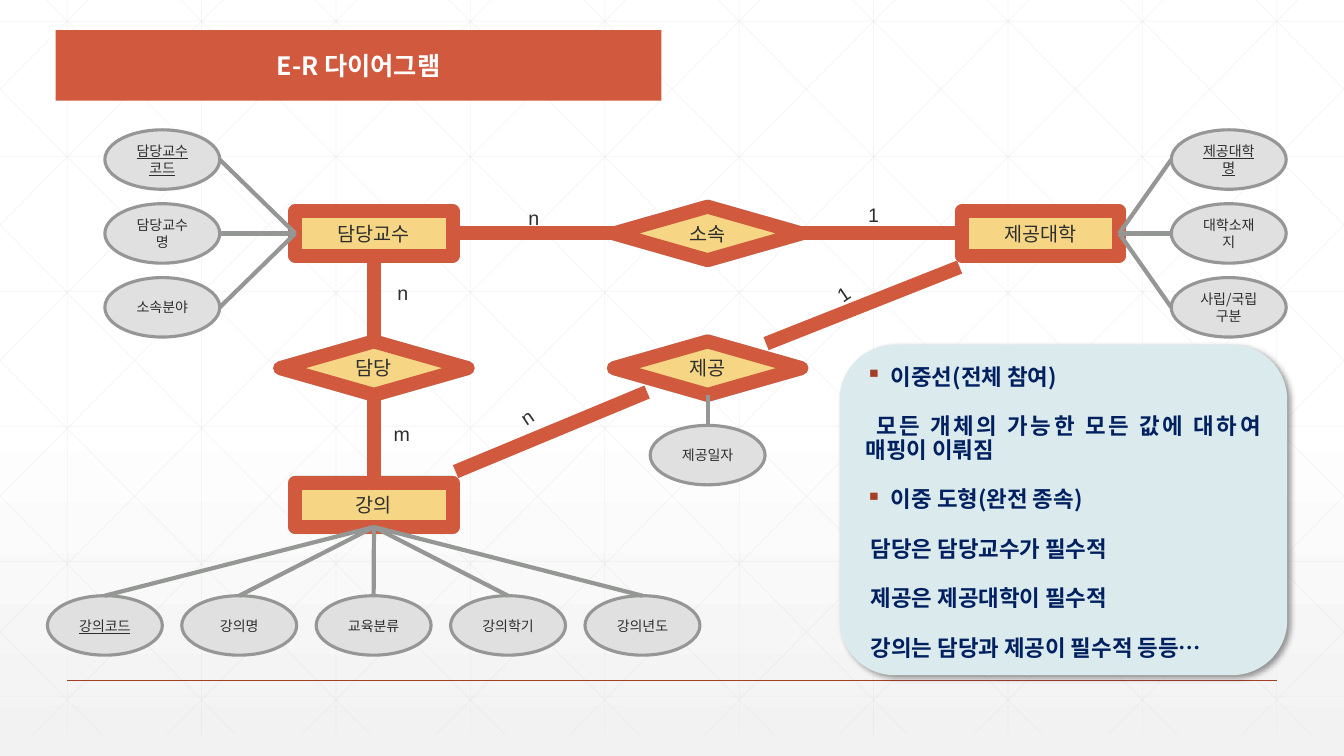
import lxml.etree
import pptx
import pptx.dml.color
import pptx.enum.shapes
import pptx.enum.text
import pptx.oxml.ns
import pptx.util

qn = pptx.oxml.ns.qn
rgb = pptx.dml.color.RGBColor.from_string
Pt = pptx.util.Pt
MSO = pptx.enum.shapes.MSO_SHAPE
ALIGN = pptx.enum.text.PP_ALIGN
ANCHOR = pptx.enum.text.MSO_ANCHOR
sub = lxml.etree.SubElement
TOP, LEFT, BOTTOM, RIGHT = range(4)
RED, GREY, DARK, RUST = "D15A3E", "959795", "2D2E2D", "A43F27"
KOREAN = "Noto Sans CJK KR"

prs = pptx.Presentation()
prs.slide_width = pptx.util.Inches(13.33)
prs.slide_height = pptx.util.Inches(7.5)
s = prs.slides.add_slide(prs.slide_layouts[6])
COLS = 40
U = prs.slide_width / COLS


def line(start, end, color, width, alpha=None):
    c = s.shapes.add_connector(pptx.enum.shapes.MSO_CONNECTOR.STRAIGHT,
                               *[round(v * U) for v in (*start, *end)])
    c.line.color.rgb = rgb(color)
    c.line.width = Pt(width)
    sub(c._element.spPr, qn("a:effectLst"))
    if alpha:
        clr = c._element.spPr.find(".//" + qn("a:srgbClr"))
        sub(clr, qn("a:alpha"), val=str(alpha * 1000))
    return c


def box(kind, center, size, text, pt, color=DARK, font=KOREAN, bold=None, underline=None,
        fill=None, edge=None, width=0, shadow=None):
    (x, y), (w, h) = center, size
    at = [round(v * U) for v in (x - w / 2, y - h / 2, w, h)]
    sp = s.shapes.add_shape(kind, *at) if kind else s.shapes.add_textbox(*at)
    if kind:
        sp.shadow.inherit = False
        sp.fill.solid()
        sp.fill.fore_color.rgb = rgb(fill)
        if edge:
            sp.line.color.rgb = rgb(edge)
            sp.line.width = Pt(width)
        else:
            sp.line.fill.background()
    if shadow:
        tint, alpha, blur, dist, angle = shadow
        outer = sub(sp._element.spPr.find(qn("a:effectLst")), qn("a:outerShdw"),
                    blurRad=str(Pt(blur)), dist=str(Pt(dist)), dir=str(angle * 60000),
                    algn="ctr", rotWithShape="0")
        sub(sub(outer, qn("a:srgbClr"), val=tint), qn("a:alpha"), val=str(alpha * 1000))
    tf = sp.text_frame
    tf.word_wrap = True
    tf.vertical_anchor = ANCHOR.MIDDLE if kind else ANCHOR.TOP
    for i, words in enumerate(text.split("\n")):
        p = tf.add_paragraph() if i else tf.paragraphs[0]
        p.alignment = ALIGN.CENTER
        r = p.add_run()
        r.text = words
        r.font.size = Pt(pt)
        r.font.bold = bold
        r.font.underline = underline
        r.font.color.rgb = rgb(color)
        r.font.name = font
        sub(r._r.get_or_add_rPr(), qn("a:ea"), typeface=font)
    return sp


bg = s.background.fill
bg.gradient()
bg.gradient_angle = 270
for stop, (pos, color) in zip(bg.gradient_stops, [(0.53, "FFFFFF"), (1, "F2F2F2")]):
    stop.position = pos
    stop.color.rgb = rgb(color)

MESH = ("D9D9D9", 0.5, 25)
mesh_top, mesh_bottom, slope = -0.63, 21.87, 0.99
for i in range(10):
    line((2 + 4 * i, 0), (2 + 4 * i, mesh_bottom), *MESH)
for i in range(6):
    line((0, 0.63 + 4.02 * i), (COLS, 0.63 + 4.02 * i), *MESH)
for i in range(-5, 10):
    x0 = 0.75 + 4 * i
    y1 = max(0, mesh_top - x0 / slope)
    y2 = min(mesh_bottom, mesh_top + (COLS - x0) / slope)
    x1, x2 = [x0 + slope * (y - mesh_top) for y in (y1, y2)]
    line((x1, y1), (x2, y2), *MESH)
    line((COLS - x1, y1), (COLS - x2, y2), *MESH)
line((2, 20.25), (38, 20.25), RUST, 1)

box(MSO.RECTANGLE, (10.67, 1.95), (18.03, 2.1), "E-R 다이어그램", 18, "FFFFFF", bold=True, fill=RED)

col = [11.13, 21.06, 30.97]
row = [6.95, 10.96, 15.03]
sizes = {MSO.RECTANGLE: (4.68, 1.32), MSO.DIAMOND: (5.58, 1.59)}
nodes = {}
for name, kind, cx, cy in [
    ("담당교수", MSO.RECTANGLE, 0, 0),
    ("소속", MSO.DIAMOND, 1, 0),
    ("제공대학", MSO.RECTANGLE, 2, 0),
    ("강의", MSO.RECTANGLE, 0, 2),
    ("담당", MSO.DIAMOND, 0, 1),
    ("제공", MSO.DIAMOND, 1, 1),
]:
    nodes[name] = box(kind, (col[cx], row[cy]), sizes[kind], name, 14, fill="F6D685",
                      edge=RED, width=10, shadow=("4F91A1", 43, 0, 0, 90))

for a, i, b, j in [
    ("담당교수", RIGHT, "소속", LEFT),
    ("소속", RIGHT, "제공대학", LEFT),
    ("담당교수", BOTTOM, "담당", TOP),
    ("담당", BOTTOM, "강의", TOP),
]:
    c = line((0, 0), (1, 1), RED, 10)
    c.begin_connect(nodes[a], i)
    c.end_connect(nodes[b], j)
line((19.26, 11.67), (13.56, 14.04), RED, 10)
line((28.56, 7.95), (22.8, 10.23), RED, 10)

for text, x, y, angle in [
    ("n", 15.89, 6.48, 0), ("1", 26, 6.39, 0),
    ("n", 11.99, 8.73, 0), ("m", 11.96, 12.93, 0),
    ("n", 15.68, 12.42, 326), ("1", 25.1, 8.76, 326),
]:
    box(None, (x, y), (1.95, 1.02), text, 14, font="Arial").rotation = angle

oval_w, oval_h = 3.42, 1.77
for owner, side, x, y, dx, dy, names in [
    ("담당교수", LEFT, 4.83, 4.75, 0, 2.2, ["담당교수\n코드", "담당교수명", "소속분야"]),
    ("제공대학", RIGHT, 36.57, 4.75, 0, 2.2, ["제공대학명", "대학소재지", "사립/국립 구분"]),
    ("강의", BOTTOM, 3.12, 18.62, 4, 0, ["강의코드", "강의명", "교육분류", "강의학기", "강의년도"]),
    ("제공", BOTTOM, col[1], 13.55, 0, 0, ["제공일자"]),
]:
    ex, ey = {LEFT: (oval_w / 2, 0), RIGHT: (-oval_w / 2, 0), BOTTOM: (0, -oval_h / 2)}[side]
    for i, name in enumerate(names):
        cx, cy = x + dx * i, y + dy * i
        key = i == 0 and owner != "제공"
        box(MSO.OVAL, (cx, cy), (oval_w, oval_h), name, 10, underline=key or None,
            fill="E0E0E0", edge=GREY, width=2.25)
        c = line((cx + ex, cy + ey), (cx, cy), GREY, 3)
        c.end_connect(nodes[owner], side)

notes = [
    "이중선(전체 참여)",
    " 모든 개체의 가능한 모든 값에 대하여 매핑이 이뤄짐",
    "이중 도형(완전 종속)",
    " 담당은 담당교수가 필수적",
    " 제공은 제공대학이 필수적",
    " 강의는 담당과 제공이 필수적 등등…",
]
panel = box(MSO.ROUNDED_RECTANGLE, (31.65, 15.18), (13.32, 9.84), "\n".join(notes), 16, "002060",
            bold=True, fill="DBEAED", shadow=("000000", 40, 4, 3, 45))
panel.text_frame.vertical_anchor = ANCHOR.TOP
for i, p in enumerate(panel.text_frame.paragraphs):
    p.alignment = ALIGN.JUSTIFY
    p.line_spacing = 0.9
    p.space_before = Pt(18 if i else 0)
    if i in (0, 2):
        pPr = p._p.get_or_add_pPr()
        pPr.set("marL", str(Pt(18)))
        pPr.set("indent", str(-Pt(18)))
        sub(sub(pPr, qn("a:buClr")), qn("a:srgbClr"), val=RUST)
        sub(pPr, qn("a:buChar"), char="▪")

prs.save("out.pptx")
